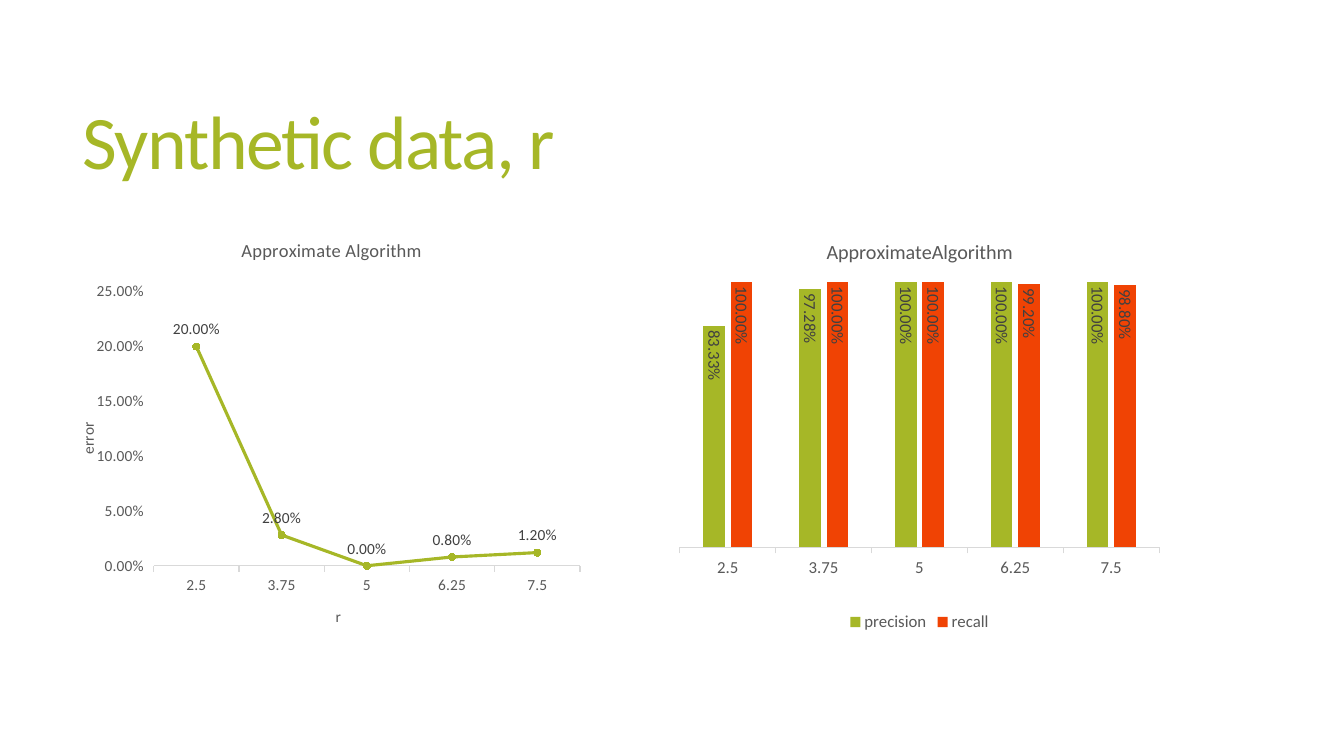
from pptx import Presentation
from pptx.chart.data import CategoryChartData
from pptx.dml.color import RGBColor
from pptx.enum.chart import (XL_CHART_TYPE, XL_LABEL_POSITION, XL_LEGEND_POSITION,
                             XL_MARKER_STYLE, XL_TICK_MARK)
from pptx.enum.text import MSO_ANCHOR, MSO_AUTO_SIZE, PP_ALIGN
from pptx.oxml import parse_xml
from pptx.oxml.ns import nsdecls, qn
from pptx.util import Inches, Pt

# Content
TITLE = "Synthetic data, r"
RADII = ["2.5", "3.75", "5", "6.25", "7.5"]
ERROR = {"Series 1": [0.2, 0.028, 0, 0.008, 0.012]}
SCORES = {"precision": [0.8333, 0.9728, 1, 1, 1],
          "recall": [1, 1, 1, 0.992, 0.988]}

# Style
FONT = "Calibri"
PERCENT = "0.00%"
GREEN = RGBColor(0xA6, 0xB7, 0x27)
RED = RGBColor(0xF0, 0x43, 0x04)
GREY = RGBColor(0x59, 0x59, 0x59)
DARK = RGBColor(0x40, 0x40, 0x40)
PALE = RGBColor(0xD9, 0xD9, 0xD9)

# Grid: two charts of one size on one row
LEFTS = (0.74, 6.57)
TOP, WIDTH, HEIGHT = 2.19, 5.1, 4.12


def style(font, size, color=GREY):
    font.name, font.size, font.bold = FONT, Pt(size), False
    font.color.rgb = color


def caption(owner, text, size):
    frame = owner.text_frame
    frame.text = text
    style(frame.paragraphs[0].font, size)
    return frame


def place_plot(chart, box):
    area = chart._chartSpace.chart.plotArea
    for old in area.findall(qn("c:layout")):
        area.remove(old)
    parts = "".join(f'<c:{tag} val="{share}"/>' for tag, share in zip("xywh", box))
    area.insert(0, parse_xml(
        f'<c:layout {nsdecls("c")}><c:manualLayout><c:layoutTarget val="inner"/>'
        f'<c:xMode val="edge"/><c:yMode val="edge"/>{parts}</c:manualLayout></c:layout>'))


def add_chart(kind, left, title, data, size, box, spot):
    table = CategoryChartData(number_format=PERCENT)
    table.categories = RADII
    for name, values in data.items():
        table.add_series(name, values)
    chart = slide.shapes.add_chart(kind, Inches(left), Inches(TOP), Inches(WIDTH),
                                   Inches(HEIGHT), table).chart
    style(chart.font, size)
    chart.has_title = True
    caption(chart.chart_title, title, size * 1.2)
    chart.chart_title.include_in_layout = False
    chart.has_legend = False
    place_plot(chart, box)

    # Axes
    for axis in (chart.category_axis, chart.value_axis):
        axis.has_major_gridlines = False
        axis.major_tick_mark = XL_TICK_MARK.OUTSIDE
        style(axis.tick_labels.font, size)
    line = chart.category_axis.format.line
    line.color.rgb, line.width = PALE, Pt(0.75)
    chart.value_axis.minimum_scale = 0
    chart.value_axis.format.line.fill.background()
    chart.value_axis.tick_labels.number_format = PERCENT
    chart.value_axis.tick_labels.number_format_is_linked = False

    # Value labels
    chart.plots[0].vary_by_categories = False
    for series in chart.plots[0].series:
        labels = series.data_labels
        labels.show_value, labels.position = True, spot
        labels.number_format, labels.number_format_is_linked = PERCENT, False
        style(labels.font, size, DARK)
    return chart


deck = Presentation()
deck.slide_width, deck.slide_height = Inches(13.33), Inches(7.5)
slide = deck.slides.add_slide(deck.slide_layouts[5])

# Title
head = slide.shapes.title
head.left, head.top, head.width, head.height = map(Inches, (0.72, 0.55, 11.78, 1.81))
frame = head.text_frame
frame.text = TITLE
frame.auto_size = MSO_AUTO_SIZE.NONE
frame.vertical_anchor = MSO_ANCHOR.MIDDLE
para = frame.paragraphs[0]
para.alignment, para.line_spacing = PP_ALIGN.LEFT, 0.85
style(para.font, 54, GREEN)
para.runs[0]._r.get_or_add_rPr().set("spc", "-120")

# Error chart
chart = add_chart(XL_CHART_TYPE.LINE_MARKERS, LEFTS[0], "Approximate Algorithm", ERROR,
                  11, (0.154, 0.171, 0.829, 0.66), XL_LABEL_POSITION.ABOVE)
chart.value_axis.maximum_scale = 0.25
chart.value_axis.major_unit = 0.05
caption(chart.category_axis.axis_title, "r", 11)
side = caption(chart.value_axis.axis_title, "error", 11)
side._txBody.bodyPr.set("rot", "-5400000")
series = chart.plots[0].series[0]
series.smooth = False
series.format.line.color.rgb, series.format.line.width = GREEN, Pt(2.25)
mark = series.marker
mark.style, mark.size = XL_MARKER_STYLE.CIRCLE, 5
mark.format.fill.solid()
mark.format.fill.fore_color.rgb = mark.format.line.color.rgb = GREEN

# Precision and recall chart
chart = add_chart(XL_CHART_TYPE.COLUMN_CLUSTERED, LEFTS[1], "ApproximateAlgorithm", SCORES,
                  12, (0.034, 0.148, 0.932, 0.639), XL_LABEL_POSITION.INSIDE_END)
chart.value_axis.maximum_scale = 1
chart.value_axis.visible = False
chart.has_legend = True
chart.legend.position = XL_LEGEND_POSITION.BOTTOM
chart.legend.include_in_layout = False
style(chart.legend.font, 12)
bars = chart.plots[0]
bars.gap_width, bars.overlap = 219, -27
for series, color in zip(bars.series, (GREEN, RED)):
    series.format.fill.solid()
    series.format.fill.fore_color.rgb = color
    turn = series.data_labels._element.find(qn("c:txPr")).find(qn("a:bodyPr"))
    turn.set("rot", "5400000")
    turn.set("vert", "horz")

deck.save("out.pptx")
